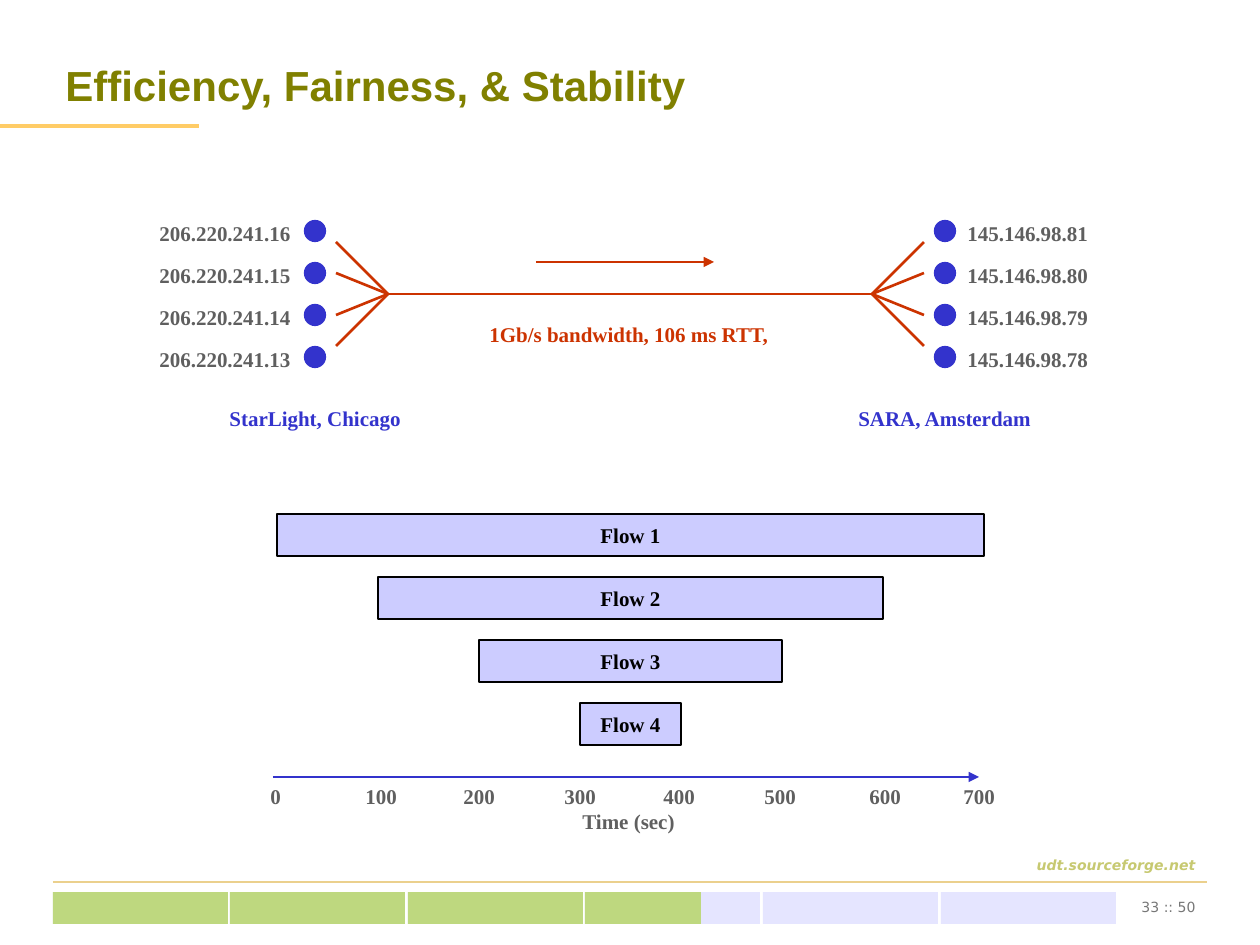
from pptx import Presentation
from pptx.dml.color import RGBColor
from pptx.enum.shapes import MSO_CONNECTOR, MSO_SHAPE
from pptx.enum.text import MSO_ANCHOR, MSO_AUTO_SIZE, PP_ALIGN
from pptx.oxml.ns import qn
from pptx.util import Pt
from lxml.etree import SubElement

BLUE = RGBColor(0x33, 0x33, 0xCC)
PALE = RGBColor(0xCC, 0xCC, 0xFF)
GREEN = RGBColor(0x99, 0xCC, 0x00)
RED = RGBColor(0xCC, 0x33, 0x00)
GRAY = RGBColor(0x5F, 0x5F, 0x5F)
MID = RGBColor(0x77, 0x77, 0x77)
BLACK = RGBColor(0, 0, 0)
OLIVE = RGBColor(0x80, 0x80, 0x00)
GOLD = RGBColor(0xFF, 0xCC, 0x66)
SAND = RGBColor(0xEB, 0xD0, 0x8D)
MOSS = RGBColor(0xC7, 0xC9, 0x71)
SERIF, SANS, SMALL = "Times New Roman", "Arial", "DejaVu Sans"

# Content
TITLE = "Efficiency, Fairness, & Stability"
SITE = "udt.sourceforge.net"
PAGE = "33 :: 50"
# host addresses, label left, label width, dot centre, spoke end, hub
SIDES = [
    (["206.220.241.16", "206.220.241.15", "206.220.241.14", "206.220.241.13"],
     147, 156, 315, 336, 388),
    (["145.146.98.81", "145.146.98.80", "145.146.98.79", "145.146.98.78"],
     955, 146, 945, 924, 872),
]
SPOKES = [242, 273, 315, 346]
# text, left, top, width, colour
NOTES = [
    ("1Gb/s bandwidth, 106 ms RTT,", 477, 315, 306, RED),
    ("StarLight, Chicago", 217, 399, 197, BLUE),
    ("SARA, Amsterdam", 846, 399, 199, BLUE),
    ("Time (sec)", 570, 802, 118, GRAY),
]
# name, start and end in seconds
FLOWS = [("Flow 1", 0, 700), ("Flow 2", 100, 600),
         ("Flow 3", 200, 500), ("Flow 4", 300, 400)]
# label, left, width
TICKS = [("0", 258, 35), ("100", 353, 57), ("200", 451, 57), ("300", 552, 57),
         ("400", 651, 57), ("500", 752, 57), ("600", 857, 57), ("700", 951, 57)]

SCALE = 914400 / 126


def px(n):
    return round(n * SCALE)


deck = Presentation()
deck.slide_width, deck.slide_height = px(1260), px(945)
slide = deck.slides.add_slide(deck.slide_layouts[6])
shapes = slide.shapes


def write(frame, text, size, font, color, bold=True, italic=False,
          align=PP_ALIGN.LEFT):
    para = frame.paragraphs[0]
    para.alignment = align
    run = para.add_run()
    run.text = text
    run.font.size = Pt(size)
    run.font.name = font
    run.font.bold = bold
    run.font.italic = italic
    run.font.color.rgb = color


def box(x, y, w, h, anchor=MSO_ANCHOR.TOP):
    frame = shapes.add_textbox(px(x), px(y), px(w), px(h)).text_frame
    frame.word_wrap = True
    frame.vertical_anchor = anchor
    return frame


def label(text, x, y, w, color=GRAY):
    frame = box(x, y, w, 38)
    frame.word_wrap = False
    frame.auto_size = MSO_AUTO_SIZE.SHAPE_TO_FIT_TEXT
    write(frame, text, 12, SERIF, color)


def block(kind, x, y, w, h, fill, edge=None, alpha=None):
    shape = shapes.add_shape(kind, px(x), px(y), px(w), px(h))
    shape.shadow.inherit = False
    shape.fill.solid()
    shape.fill.fore_color.rgb = fill
    if alpha:
        tint = shape.fill._xPr.find(qn("a:solidFill"))[0]
        SubElement(tint, qn("a:alpha"), val=str(alpha * 1000))
    if edge is None:
        shape.line.fill.background()
    else:
        shape.line.color.rgb = edge
        shape.line.width = Pt(0.75)
    return shape


def line(x1, y1, x2, y2, color, width, arrow=False):
    link = shapes.add_connector(MSO_CONNECTOR.STRAIGHT,
                                px(x1), px(y1), px(x2), px(y2))
    link.line.color.rgb = color
    link.line.width = Pt(width)
    if arrow:
        SubElement(link.line._get_or_add_ln(), qn("a:tailEnd"), type="triangle")
    SubElement(link._element.spPr, qn("a:effectLst"))


# Title and footer
line(0, 126, 199, 126, GOLD, 2.25)
line(53, 882, 1207, 882, SAND, 1)
write(box(53, 850, 1155, 32), SITE, 8, SMALL, MOSS,
      italic=True, align=PP_ALIGN.RIGHT)
write(box(1115, 892, 93, 32), PAGE, 8, SMALL, MID,
      bold=False, align=PP_ALIGN.RIGHT)
write(box(53, 32, 1155, 105, MSO_ANCHOR.MIDDLE), TITLE, 24, SANS, OLIVE)

# Progress bar: six cells, the green part ends at 701
cells = [53 + 888 * i // 5 for i in range(6)]
for x in cells:
    block(MSO_SHAPE.RECTANGLE, x, 892, 175, 32, PALE, alpha=50)
for x in cells:
    if x < 701:
        block(MSO_SHAPE.RECTANGLE, x, 892, min(175, 701 - x), 32, GREEN, alpha=50)

# Flow timeline
for i, (name, start, end) in enumerate(FLOWS):
    bar = block(MSO_SHAPE.RECTANGLE, 277 + start * 1.01, 514 + 63 * i,
                (end - start) * 1.01, 42, PALE, BLACK)
    bar.text_frame.word_wrap = False
    bar.text_frame.vertical_anchor = MSO_ANCHOR.MIDDLE
    write(bar.text_frame, name, 12, SERIF, BLACK, align=PP_ALIGN.CENTER)
line(273, 777, 979, 777, BLUE, 1.5, arrow=True)
for text, x, w in TICKS:
    label(text, x, 777, w)

# Network: hosts, spokes and the shared link
for hosts, left, wide, dot, tip, hub in SIDES:
    for i, (host, y) in enumerate(zip(hosts, SPOKES)):
        block(MSO_SHAPE.OVAL, dot - 10.5, 220.5 + 42 * i, 21, 21, BLUE, BLUE)
        line(tip, y, hub, 294, RED, 1.5)
        label(host, left, 214 + 42 * i, wide)
line(388, 294, 872, 294, RED, 1.5)
line(536, 262, 714, 262, RED, 1, arrow=True)
for text, x, y, w, color in NOTES:
    label(text, x, y, w, color)

deck.save("out.pptx")
